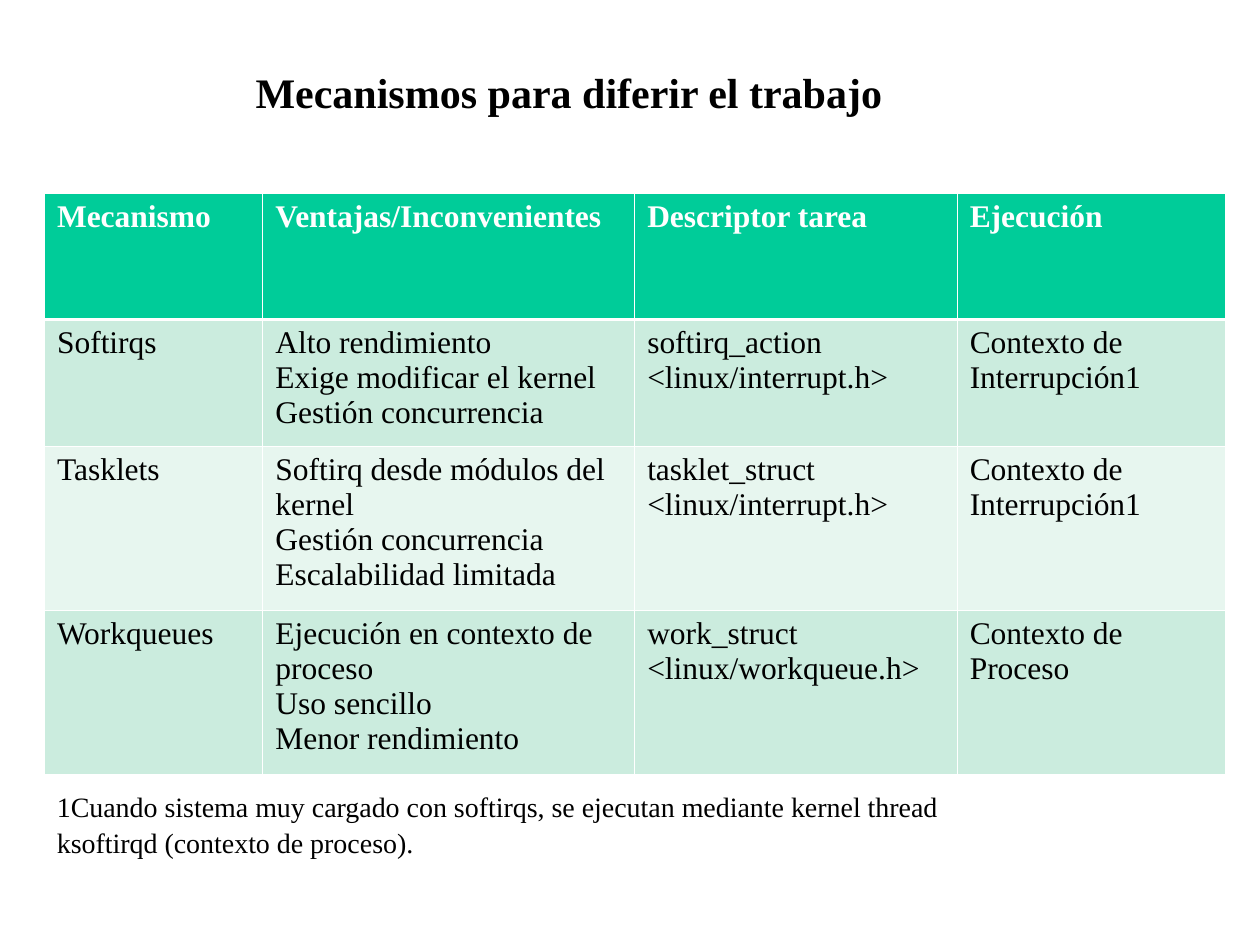
from dataclasses import dataclass

from lxml.etree import SubElement
from pptx import Presentation
from pptx.dml.color import RGBColor
from pptx.oxml.ns import qn
from pptx.util import Pt

TITLE = ["Mecanismos para diferir el trabajo"]
HEADINGS = ["Mecanismo", "Ventajas/Inconvenientes", "Descriptor tarea", "Ejecución"]
MECHANISMS = [
    ("Softirqs",
     "Alto rendimiento\nExige modificar el kernel\nGestión concurrencia",
     "softirq_action\n<linux/interrupt.h>",
     "Contexto de\nInterrupción1"),
    ("Tasklets",
     "Softirq desde módulos del kernel\nGestión concurrencia\nEscalabilidad limitada",
     "tasklet_struct\n<linux/interrupt.h>",
     "Contexto de\nInterrupción1"),
    ("Workqueues",
     "Ejecución en contexto de proceso\nUso sencillo\nMenor rendimiento",
     "work_struct\n<linux/workqueue.h>",
     "Contexto de\nProceso"),
]
FOOTNOTE = [
    "1Cuando sistema muy cargado con softirqs, se ejecutan mediante kernel thread",
    "ksoftirqd (contexto de proceso).",
]

COLUMN_WIDTHS = [124.8, 212.5, 184.3, 153.2]
ROW_HEIGHTS = [72.4, 72.4, 93.7, 93.7]
LEFT, TABLE_TOP = 25.4, 110.2


@dataclass(frozen=True)
class Theme:
    font: str = "Times New Roman"
    title_size: float = 24
    table_size: float = 18
    footnote_size: float = 16
    loose_spacing: float = 1.09
    text: str = "000000"
    white: str = "FFFFFF"
    header: str = "00CC99"
    bands: tuple = ("CBECDE", "E7F6EF")
    thin_line: float = 0.45
    header_line: float = 1.47


THEME = Theme()


def write_lines(frame, lines, size, color=THEME.text, bold=False, spacing=None):
    """Fill a text frame with one paragraph per line."""
    frame.word_wrap = True
    for index, line in enumerate(lines):
        paragraph = frame.add_paragraph() if index else frame.paragraphs[0]
        if spacing:
            paragraph.line_spacing = spacing
        run = paragraph.add_run()
        run.text = line
        run.font.name = THEME.font
        run.font.size = Pt(size)
        run.font.bold = bold
        run.font.color.rgb = RGBColor.from_string(color)


def add_text(slide, box, lines, size, bold=False):
    frame = slide.shapes.add_textbox(*map(Pt, box)).text_frame
    write_lines(frame, lines, size, bold=bold, spacing=THEME.loose_spacing)


def set_borders(cell, top, bottom):
    """Draw white borders; they must precede the fill in the cell's XML."""
    properties = cell._tc.get_or_add_tcPr()
    widths = {"a:lnL": THEME.thin_line, "a:lnR": THEME.thin_line,
              "a:lnT": top, "a:lnB": bottom}
    for tag, width in widths.items():
        line = SubElement(properties, qn(tag), w=str(int(Pt(width))))
        fill = SubElement(line, qn("a:solidFill"))
        SubElement(fill, qn("a:srgbClr"), val=THEME.white)


def add_mechanism_table(slide):
    rows = [HEADINGS, *MECHANISMS]
    table = slide.shapes.add_table(
        len(rows), len(HEADINGS), Pt(LEFT), Pt(TABLE_TOP),
        Pt(sum(COLUMN_WIDTHS)), Pt(sum(ROW_HEIGHTS))).table
    for column, width in zip(table.columns, COLUMN_WIDTHS):
        column.width = Pt(width)
    for row, height in zip(table.rows, ROW_HEIGHTS):
        row.height = Pt(height)

    for r, texts in enumerate(rows):
        is_header = r == 0
        background = THEME.header if is_header else THEME.bands[(r - 1) % 2]
        color = THEME.white if is_header else THEME.text
        top = THEME.header_line if r == 1 else THEME.thin_line
        bottom = THEME.header_line if is_header else THEME.thin_line
        for c, text in enumerate(texts):
            cell = table.cell(r, c)
            set_borders(cell, top, bottom)
            cell.fill.solid()
            cell.fill.fore_color.rgb = RGBColor.from_string(background)
            write_lines(cell.text_frame, text.split("\n"), THEME.table_size,
                        color, bold=is_header)


def main():
    deck = Presentation()
    deck.slide_width, deck.slide_height = Pt(720), Pt(540)
    slide = deck.slides.add_slide(deck.slide_layouts[6])
    add_mechanism_table(slide)
    add_text(slide, (139, 31.7, 401, 36), TITLE, THEME.title_size, bold=True)
    add_text(slide, (LEFT, 445.7, 669, 46), FOOTNOTE, THEME.footnote_size)
    deck.save("out.pptx")


if __name__ == "__main__":
    main()
